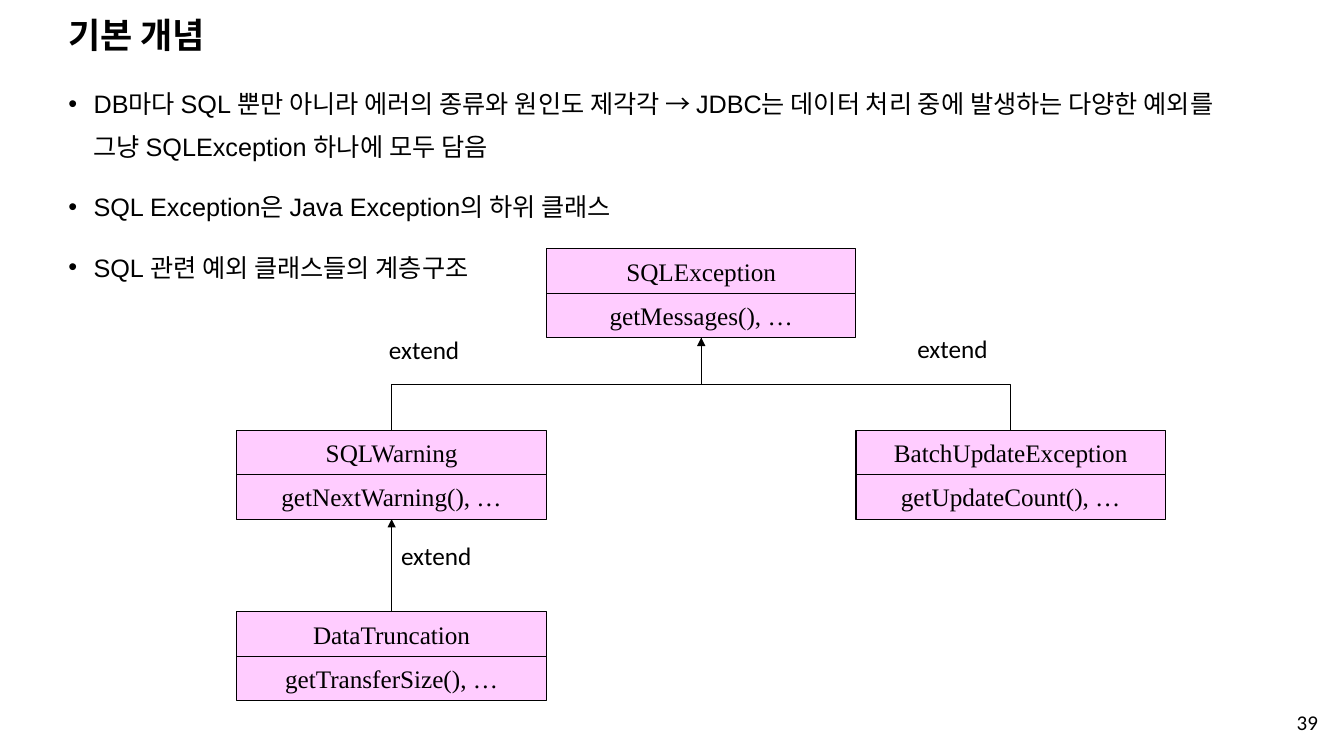
from dataclasses import dataclass

from lxml import etree
from pptx import Presentation
from pptx import util as u
from pptx.dml.color import RGBColor
from pptx.enum import shapes, text
from pptx.oxml.ns import qn


@dataclass(frozen=True)
class Theme:
    ink: RGBColor = RGBColor(0x00, 0x00, 0x00)
    class_fill: RGBColor = RGBColor(0xFF, 0xCC, 0xFF)
    line_width: float = 0.75
    heading_font: str = "Arial"
    class_font: str = "Times New Roman"
    label_font: str = "Calibri"
    title_size: int = 25
    text_size: int = 18
    number_size: int = 15


@dataclass(frozen=True)
class ClassBox:
    name: str
    method: str
    column: int
    level: int


@dataclass(frozen=True)
class Label:
    words: str
    left: float
    top: float


THEME = Theme()

# Class diagram grid, in inches
TREE_LEFT, TREE_TOP = 2.35, 2.47
BOX_WIDTH, ROW_HEIGHT, LEVEL_STEP = 3.07, 0.44, 1.8

BULLETS = [
    "DB마다 SQL 뿐만 아니라 에러의 종류와 원인도 제각각 → JDBC는 데이터 처리 중에 "
    "발생하는 다양한 예외를 그냥 SQLException 하나에 모두 담음",
    "SQL Exception은 Java Exception의 하위 클래스",
    "SQL 관련 예외 클래스들의 계층구조",
]
CLASSES = [
    ClassBox("SQLException", "getMessages(), …", 1, 0),
    ClassBox("SQLWarning", "getNextWarning(), …", 0, 1),
    ClassBox("BatchUpdateException", "getUpdateCount(), …", 2, 1),
    ClassBox("DataTruncation", "getTransferSize(), …", 0, 2),
]
LABELS = [
    Label("extend", 3.88, 5.31),
    Label("extend", 3.76, 3.27),
    Label("extend", 9, 3.26),
]


def write(paragraph, words: str, font: str, size: float, bold: bool = False) -> None:
    run = paragraph.add_run()
    run.text = words
    formats = {"name": font, "size": u.Pt(size), "bold": bold}
    for attribute, value in formats.items():
        setattr(run.font, attribute, value)
    run.font.color.rgb = THEME.ink


def add_text(slide, left: float, top: float, width: float, height: float):
    shape = slide.shapes.add_textbox(*map(u.Inches, (left, top, width, height)))
    shape.text_frame.word_wrap = True
    return shape.text_frame


def add_bullets(slide, items: list[str]) -> None:
    frame = add_text(slide, 0.58, 0.71, 11.99, 6.45)
    spacing = {"line_spacing": 1.4, "space_before": u.Pt(10), "space_after": u.Pt(3)}
    for index, item in enumerate(items):
        paragraph = frame.add_paragraph() if index else frame.paragraphs[0]
        for attribute, value in spacing.items():
            setattr(paragraph, attribute, value)
        properties = paragraph._p.get_or_add_pPr()
        properties.set("marL", str(u.Inches(0.25)))
        properties.set("indent", str(u.Inches(-0.25)))
        etree.SubElement(properties, qn("a:buFont"), typeface="Arial")
        etree.SubElement(properties, qn("a:buChar"), char="•")
        write(paragraph, item, THEME.heading_font, THEME.text_size)


def add_class_box(slide, box: ClassBox) -> tuple:
    """Draw the name row and the method row; return both shapes."""
    rows = []
    for row, words in enumerate((box.name, box.method)):
        left = TREE_LEFT + box.column * BOX_WIDTH
        top = TREE_TOP + box.level * LEVEL_STEP + row * ROW_HEIGHT
        shape = slide.shapes.add_shape(
            shapes.MSO_SHAPE.RECTANGLE,
            *map(u.Inches, (left, top, BOX_WIDTH, ROW_HEIGHT)))
        shape.shadow.inherit = False
        shape.fill.solid()
        shape.fill.fore_color.rgb = THEME.class_fill
        shape.line.color.rgb = THEME.ink
        shape.line.width = u.Pt(THEME.line_width)
        frame = shape.text_frame
        frame.vertical_anchor = text.MSO_ANCHOR.MIDDLE
        frame.paragraphs[0].alignment = text.PP_ALIGN.CENTER
        write(frame.paragraphs[0], words, THEME.class_font, THEME.text_size)
        rows.append(shape)
    return tuple(rows)


def add_link(slide, kind, start, start_site: int, end, end_site: int, arrow: str = ""):
    """Join two boxes; arrow is headEnd, tailEnd or empty."""
    connector = slide.shapes.add_connector(kind, 0, 0, 0, 0)
    connector.begin_connect(start, start_site)
    connector.end_connect(end, end_site)
    connector.line.color.rgb = THEME.ink
    connector.line.width = u.Pt(THEME.line_width)
    if arrow:
        etree.SubElement(connector.line._get_or_add_ln(), qn(f"a:{arrow}"), type="triangle")
    etree.SubElement(connector._element.spPr, qn("a:effectLst"))
    return connector


def add_branch(slide, parent, child, arrow: str = "") -> None:
    """Elbow from the parent's bottom to the child's top, turned to run vertically."""
    connector = add_link(slide, shapes.MSO_CONNECTOR.ELBOW, parent, 2, child, 0, arrow)
    start_x, end_x = (shape.left + shape.width // 2 for shape in (parent, child))
    start_y, end_y = parent.top + parent.height, child.top
    drop, span = end_y - start_y, abs(end_x - start_x)
    frame = {
        "left": (start_x + end_x - drop) // 2,
        "top": (start_y + end_y - span) // 2,
        "width": drop,
        "height": span,
    }
    for attribute, value in frame.items():
        setattr(connector, attribute, value)
    to_right = end_x > start_x
    turn = {"rot": 270 if to_right else 90, "flipH": to_right, "flipV": False}
    for attribute, value in turn.items():
        setattr(connector._element.spPr.xfrm, attribute, value)


def add_title(slide, words: str) -> None:
    title = slide.shapes.title
    frame = {"left": 0.58, "top": 0.18, "width": 11.5, "height": 0.38}
    for attribute, value in frame.items():
        setattr(title, attribute, u.Inches(value))
    title.text_frame.auto_size = text.MSO_AUTO_SIZE.NONE
    title.text_frame.vertical_anchor = text.MSO_ANCHOR.MIDDLE
    paragraph = title.text_frame.paragraphs[0]
    paragraph.alignment = text.PP_ALIGN.LEFT
    paragraph.line_spacing = 0.9
    write(paragraph, words, THEME.heading_font, THEME.title_size, bold=True)


def main() -> None:
    presentation = Presentation()
    presentation.slide_width = u.Inches(13.33)
    presentation.slide_height = u.Inches(7.5)
    slide = presentation.slides.add_slide(presentation.slide_layouts[5])

    # Title, bullets and page number
    add_title(slide, "기본 개념")
    add_bullets(slide, BULLETS)
    number = add_text(slide, 9.42, 6.95, 3.75, 0.42)
    number.vertical_anchor = text.MSO_ANCHOR.MIDDLE
    number.paragraphs[0].alignment = text.PP_ALIGN.RIGHT
    write(number.paragraphs[0], "39", THEME.label_font, THEME.number_size)

    # Class hierarchy
    boxes = {box.name: add_class_box(slide, box) for box in CLASSES}
    root_method = boxes["SQLException"][1]
    warning_name, warning_method = boxes["SQLWarning"]
    add_branch(slide, root_method, warning_name)
    add_branch(slide, root_method, boxes["BatchUpdateException"][0], "headEnd")
    add_link(slide, shapes.MSO_CONNECTOR.STRAIGHT,
             boxes["DataTruncation"][0], 0, warning_method, 2, "tailEnd")

    # Relation labels
    for label in LABELS:
        frame = add_text(slide, label.left, label.top, 1.3, 0.59)
        write(frame.paragraphs[0], label.words, THEME.label_font, THEME.text_size)

    presentation.save("out.pptx")


if __name__ == "__main__":
    main()
